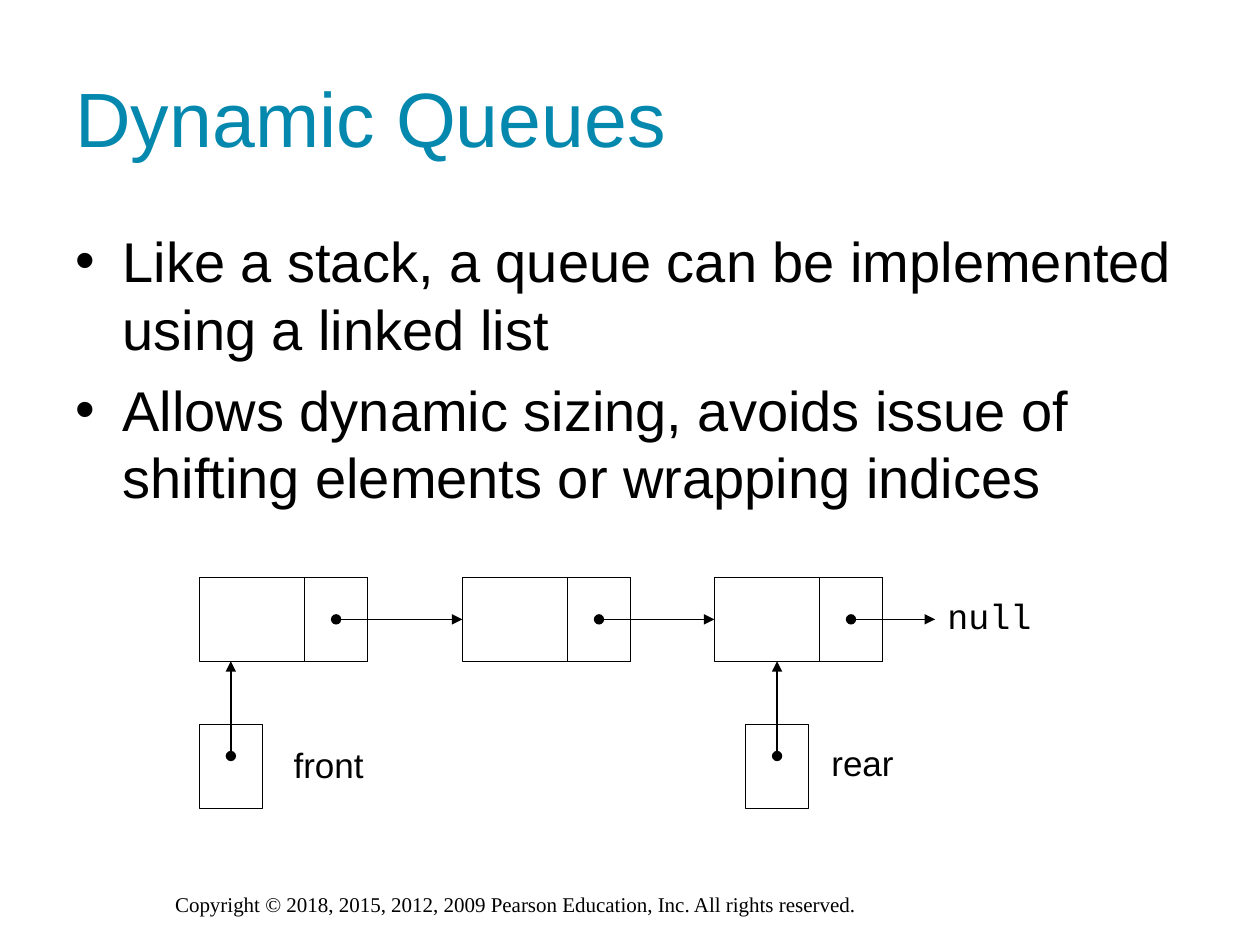
from dataclasses import dataclass

import pptx
import pptx.dml.color
import pptx.enum.shapes
import pptx.enum.text
import pptx.oxml.ns
import pptx.util
from lxml import etree

Cm = pptx.util.Cm
Pt = pptx.util.Pt
MSO_ANCHOR = pptx.enum.text.MSO_ANCHOR
MSO_AUTO_SIZE = pptx.enum.text.MSO_AUTO_SIZE
BLACK = pptx.dml.color.RGBColor(0x00, 0x00, 0x00)
TEAL = pptx.dml.color.RGBColor(0x04, 0x88, 0xAE)

NODE_TOP, NODE_WIDTH, BOX_HEIGHT = 11.64, 3.39, 1.69
LINK_WIDTH = 1.27
LINK_LEFT = NODE_WIDTH - LINK_WIDTH
POINTER_TOP, POINTER_DOT = 14.61, 15.24
NODE_LEFTS = [4.02, 9.32, 14.4]
NULL_LEFT = 18.85
POINTER_LEFTS = [4.02, 15.03]


@dataclass
class Label:
    text: str
    left: float
    top: float
    width: float
    height: float
    size: int = 20
    font: str = "Arial"
    color: pptx.dml.color.RGBColor = BLACK
    wrap: bool = False


LABELS = [
    Label("Copyright © 2018, 2015, 2012, 2009 Pearson Education, Inc. All rights reserved.",
          3.28, 17.84, 18.85, 0.76, 12, "Times New Roman", wrap=True),
    Label("front", 5.67, 14.86, 1.92, 1.12),
    Label("rear", 16.51, 14.82, 1.76, 1.12),
    Label("null", NULL_LEFT, 11.86, 2.21, 1.12, font="Courier New"),
]
TITLE = Label("Dynamic Queues", 1.27, 0.76, 22.86, 3.18, 44, color=TEAL, wrap=True)
BODY = Label("Like a stack, a queue can be implemented using a linked list\n"
             "Allows dynamic sizing, avoids issue of shifting elements or wrapping indices",
             1.27, 4.45, 22.86, 12.57, 32, wrap=True)


def apply(target: object, values: dict) -> None:
    for name, value in values.items():
        setattr(target, name, value)


def add_label(s: pptx.slide.Slide, label: Label) -> pptx.text.text.TextFrame:
    sp = s.shapes.add_textbox(Cm(label.left), Cm(label.top), Cm(label.width), Cm(label.height))
    tf = sp.text_frame
    fit = MSO_AUTO_SIZE.NONE if label.wrap else MSO_AUTO_SIZE.SHAPE_TO_FIT_TEXT
    apply(tf, {"text": label.text, "word_wrap": label.wrap, "auto_size": fit})
    for p in tf.paragraphs:
        for r in p.runs:
            apply(r.font, {"size": Pt(label.size), "name": label.font})
            r.font.color.rgb = label.color
    return tf


def add_bullets(tf: pptx.text.text.TextFrame) -> None:
    for i, p in enumerate(tf.paragraphs):
        if i:
            p.space_before = Pt(8)
        pPr = p._p.get_or_add_pPr()
        pPr.set("marL", str(Cm(0.95)))
        pPr.set("indent", str(-Cm(0.95)))
        etree.SubElement(pPr, pptx.oxml.ns.qn("a:buFont"), typeface="Arial")
        etree.SubElement(pPr, pptx.oxml.ns.qn("a:buChar"), char="•")


def add_box(s: pptx.slide.Slide, left: float, top: float, width: float) -> None:
    sp = s.shapes.add_shape(pptx.enum.shapes.MSO_SHAPE.RECTANGLE,
                            Cm(left), Cm(top), Cm(width), Cm(BOX_HEIGHT))
    sp.shadow.inherit = False
    sp.fill.background()
    sp.line.color.rgb = BLACK
    sp.line.width = Pt(0.75)


def add_arrow(s: pptx.slide.Slide, x1: float, y1: float, x2: float, y2: float) -> None:
    sp = s.shapes.add_connector(pptx.enum.shapes.MSO_CONNECTOR.STRAIGHT,
                                Cm(x1), Cm(y1), Cm(x2), Cm(y2))
    sp.line.color.rgb = BLACK
    sp.line.width = Pt(0.75)
    ln = sp.line._get_or_add_ln()
    for tag, kind in (("a:headEnd", "oval"), ("a:tailEnd", "triangle")):
        etree.SubElement(ln, pptx.oxml.ns.qn(tag), type=kind)
    etree.SubElement(sp._element.spPr, pptx.oxml.ns.qn("a:effectLst"))


def main() -> None:
    prs = pptx.Presentation()
    apply(prs, {"slide_width": Cm(25.4), "slide_height": Cm(19.05)})
    s = prs.slides.add_slide(prs.slide_layouts[6])

    add_label(s, TITLE).vertical_anchor = MSO_ANCHOR.MIDDLE
    add_bullets(add_label(s, BODY))

    node_middle = NODE_TOP + BOX_HEIGHT / 2
    for left, target in zip(NODE_LEFTS, NODE_LEFTS[1:] + [NULL_LEFT]):
        add_box(s, left, NODE_TOP, NODE_WIDTH)
        add_box(s, left + LINK_LEFT, NODE_TOP, LINK_WIDTH)
        add_arrow(s, left + LINK_LEFT + LINK_WIDTH / 2, node_middle, target, node_middle)
    for left in POINTER_LEFTS:
        x = left + LINK_WIDTH / 2
        add_box(s, left, POINTER_TOP, LINK_WIDTH)
        add_arrow(s, x, POINTER_DOT, x, NODE_TOP + BOX_HEIGHT)
    for label in LABELS:
        add_label(s, label)

    prs.save("out.pptx")


if __name__ == "__main__":
    main()
